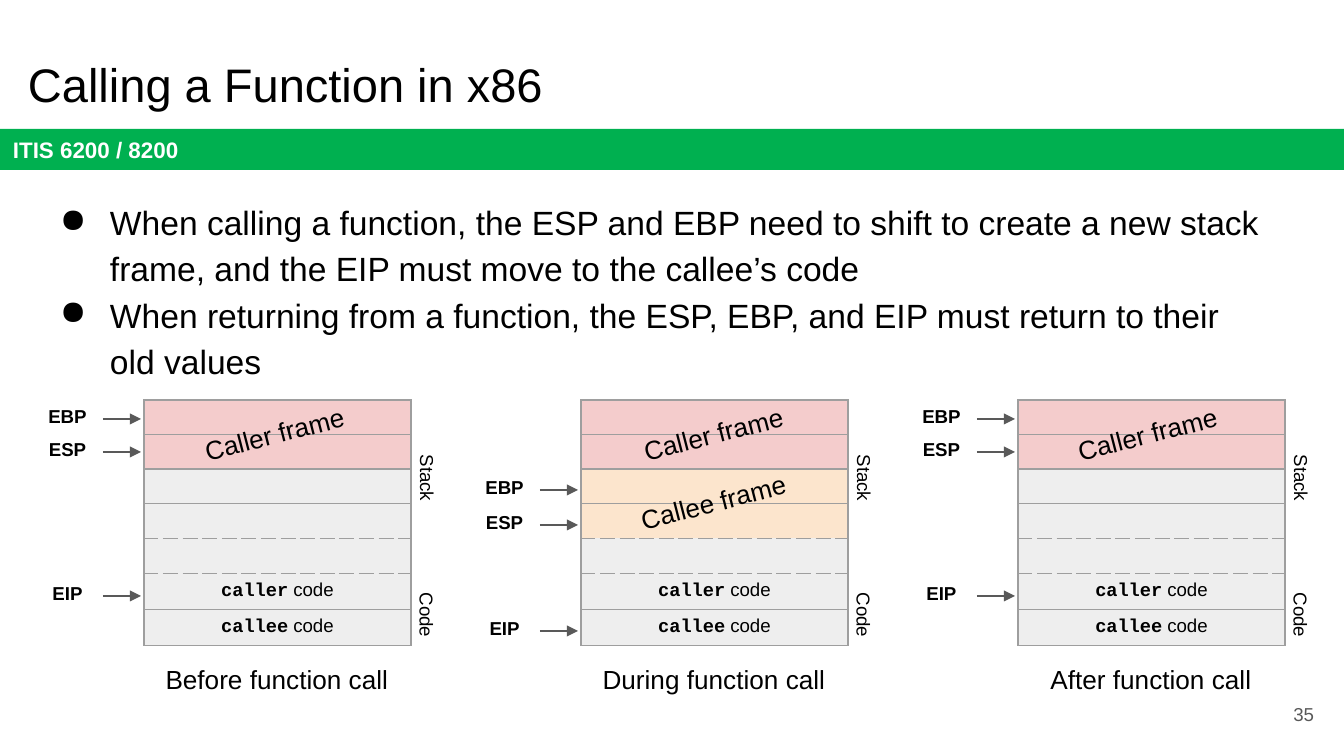
"""Build the slide on calling a function in x86."""
from lxml.etree import SubElement
from pptx import Presentation
from pptx.dml.color import RGBColor
from pptx.enum.shapes import MSO_CONNECTOR, MSO_SHAPE
from pptx.enum.text import MSO_ANCHOR, PP_ALIGN
from pptx.oxml.ns import qn
from pptx.util import Pt

COLORS = {
    "black": "000000", "white": "FFFFFF", "green": "00B050", "gray": "595959",
    "border": "9E9E9E", "caller": "F4CCCC", "callee": "FCE5CD", "empty": "EEEEEE",
}
EMU_PER_PX = 914400 / 134.4
INSET = 13
PANEL_LEFT, PANEL_STEP = 144, 437
STACK_TOP, STACK_WIDTH = 400, 267
ROW_HEIGHTS = [34, 34, 35, 34, 35, 36, 36]
DASHED_EDGES = {3: "B", 4: "TB", 5: "T"}
CODE_ROWS = {5: "caller", 6: "callee"}
OUTER_POINTERS = {"EBP": 419, "ESP": 452, "EIP": 596}
INNER_POINTERS = {"EBP": 490, "ESP": 525, "EIP": 631}
PANELS = [
    ("Before function call", OUTER_POINTERS, "empty", [("Caller frame", -4, 405)]),
    ("During function call", INNER_POINTERS, "callee",
     [("Caller frame", -2, 405), ("Callee frame", -2, 473)]),
    ("After function call", OUTER_POINTERS, "empty", [("Caller frame", -5, 405)]),
]
BULLETS = [
    "When calling a function, the ESP and EBP need to shift to create a new stack "
    "frame, and the EIP must move to the callee’s code",
    "When returning from a function, the ESP, EBP, and EIP must return to their old values",
]


def px(length):
    return round(length * EMU_PER_PX)


def color(name):
    return RGBColor.from_string(COLORS[name])


class SlideBuilder:
    def __init__(self, page):
        self.page = page
        self.font_name = "Arial"

    def style(self, para, size, tint="black", bold=False, align=PP_ALIGN.LEFT):
        para.alignment = align
        font = para.font
        font.name, font.size, font.bold = self.font_name, Pt(size), bold
        font.color.rgb = color(tint)

    def frame(self, shape, anchor):
        frame = shape.text_frame
        frame.word_wrap = True
        frame.vertical_anchor = anchor
        frame.margin_left = frame.margin_right = px(INSET)
        frame.margin_top = frame.margin_bottom = px(INSET)
        return frame

    def text(self, words, left, top, width, height, size, tint="black", bold=False,
             align=PP_ALIGN.CENTER, anchor=MSO_ANCHOR.TOP, rotation=0):
        box = self.page.shapes.add_textbox(px(left), px(top), px(width), px(height))
        box.rotation = rotation
        para = self.frame(box, anchor).paragraphs[0]
        para.text = words
        self.style(para, size, tint, bold, align)

    def bar(self, words, left, top, width, height):
        bar = self.page.shapes.add_shape(
            MSO_SHAPE.RECTANGLE, px(left), px(top), px(width), px(height))
        bar.shadow.inherit = False
        bar.fill.solid()
        bar.fill.fore_color.rgb = color("green")
        bar.line.fill.background()
        para = self.frame(bar, MSO_ANCHOR.MIDDLE).paragraphs[0]
        para.text = words
        self.style(para, 12, "white", bold=True)

    def bullets(self, items, left, top, width, height):
        box = self.page.shapes.add_textbox(px(left), px(top), px(width), px(height))
        frame = self.frame(box, MSO_ANCHOR.TOP)
        for index, words in enumerate(items):
            para = frame.add_paragraph() if index else frame.paragraphs[0]
            para.text = words
            para.line_spacing = 1.15
            properties = para._p.get_or_add_pPr()
            properties.set("marL", str(px(67)))
            properties.set("indent", str(px(-50)))
            tint = SubElement(properties, qn("a:buClr"))
            SubElement(tint, qn("a:srgbClr"), val=COLORS["black"])
            SubElement(properties, qn("a:buChar"), char="●")
            self.style(para, 18)

    def arrow(self, start, end, height):
        arrow = self.page.shapes.add_connector(
            MSO_CONNECTOR.STRAIGHT, px(start), px(height), px(end), px(height))
        arrow.line.color.rgb = color("gray")
        arrow.line.width = Pt(0.75)
        SubElement(arrow.line._get_or_add_ln(), qn("a:tailEnd"), type="triangle")
        SubElement(arrow._element.spPr, qn("a:effectLst"))

    def borders(self, cell, dashed):
        properties = cell._tc.get_or_add_tcPr()
        for side in "LRTB":
            line = SubElement(properties, qn(f"a:ln{side}"), w=str(Pt(0.75)))
            fill = SubElement(line, qn("a:solidFill"))
            SubElement(fill, qn("a:srgbClr"), val=COLORS["border"])
            SubElement(line, qn("a:prstDash"), val="dash" if side in dashed else "solid")

    def stack(self, left, middle):
        table = self.page.shapes.add_table(
            len(ROW_HEIGHTS), 1, px(left), px(STACK_TOP),
            px(STACK_WIDTH), px(sum(ROW_HEIGHTS))).table
        table.first_row = table.horz_banding = False
        table.columns[0].width = px(STACK_WIDTH)
        fills = ["caller"] * 2 + [middle] * 2 + ["empty"] * 3
        for index, (height, fill) in enumerate(zip(ROW_HEIGHTS, fills)):
            table.rows[index].height = px(height)
            cell = table.cell(index, 0)
            cell.margin_left = cell.margin_right = px(6)
            cell.margin_top = cell.margin_bottom = px(6)
            self.borders(cell, DASHED_EDGES.get(index, ""))
            cell.fill.solid()
            cell.fill.fore_color.rgb = color(fill)
            para = cell.text_frame.paragraphs[0]
            if index in CODE_ROWS:
                self.style(para, 10, align=PP_ALIGN.CENTER)
                span = para.add_run()
                span.text = CODE_ROWS[index]
                span.font.name, span.font.bold = "Courier New", True
                para.add_run().text = " code"
            else:
                SubElement(para._p, qn("a:endParaRPr"), sz="1000")

    def panel(self, left, caption, pointers, middle, frames):
        self.stack(left, middle)
        for register, height in pointers.items():
            self.text(register, left - 112, height - 25, 71, 50, 10, bold=True)
            self.arrow(left - 41, left - 3, height)
        for words, shift, top in frames:
            self.text(words, left + shift, top, 269, 59, 14, rotation=345.6)
        self.text("Stack", left + 222, 453, 118, 50, 10, rotation=90)
        self.text("Code", left + 242, 590, 77, 50, 10, rotation=90)
        self.text(caption, left - 5, 650, 276, 59, 14)


def main():
    deck = Presentation()
    deck.slide_width, deck.slide_height = px(1344), px(756)
    builder = SlideBuilder(deck.slides.add_slide(deck.slide_layouts[6]))
    builder.bar("ITIS 6200 / 8200", 0, 129, 1344, 41)
    builder.text("Calling a Function in x86", 15, 40, 1253, 85, 25.2,
                 align=PP_ALIGN.LEFT, anchor=MSO_ANCHOR.BOTTOM)
    builder.bullets(BULLETS, 30, 183, 1253, 224)
    builder.text("35", 1246, 685, 81, 58, 10, tint="gray",
                 align=PP_ALIGN.RIGHT, anchor=MSO_ANCHOR.MIDDLE)
    for index, panel in enumerate(PANELS):
        builder.panel(PANEL_LEFT + index * PANEL_STEP, *panel)
    deck.save("out.pptx")


if __name__ == "__main__":
    main()
